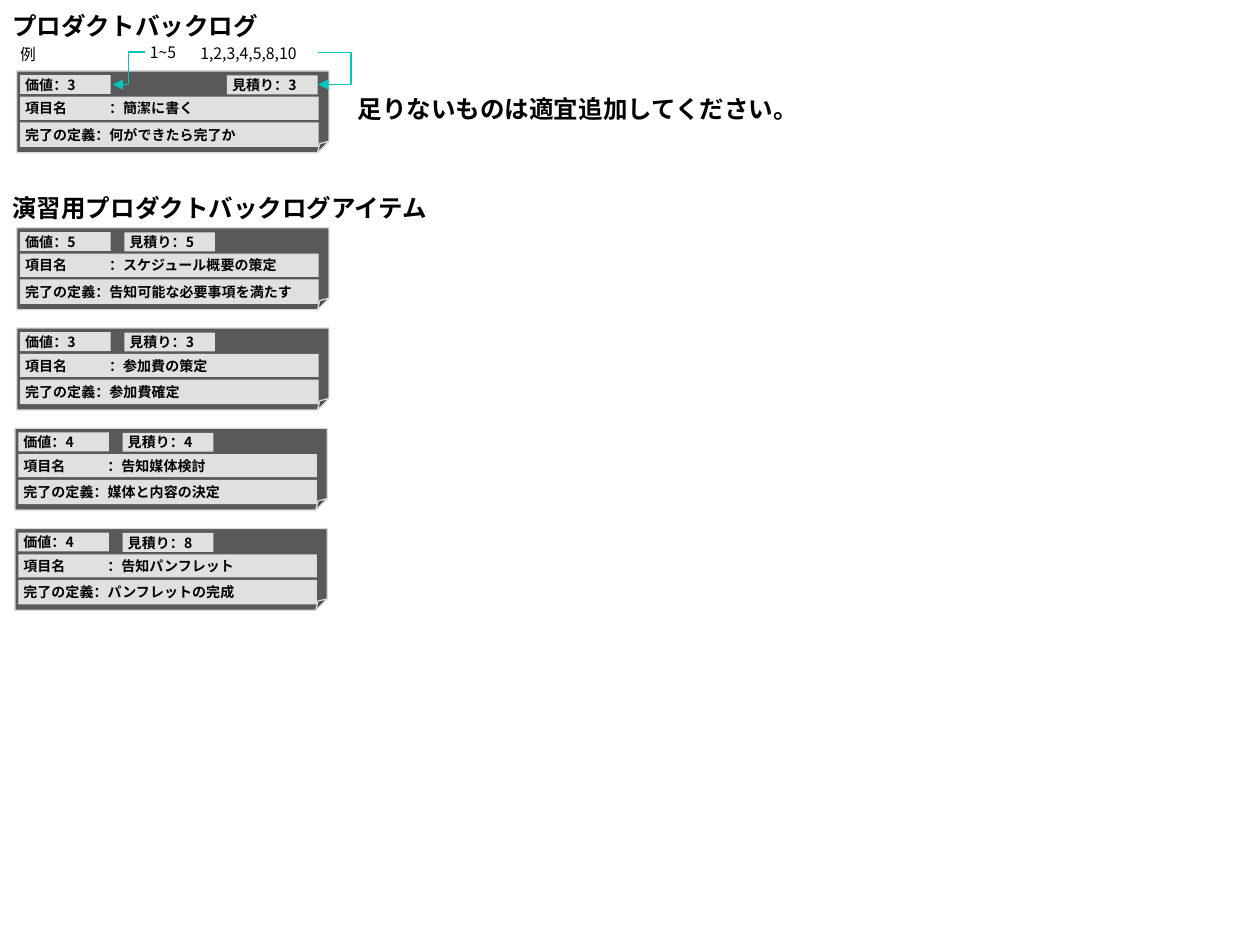
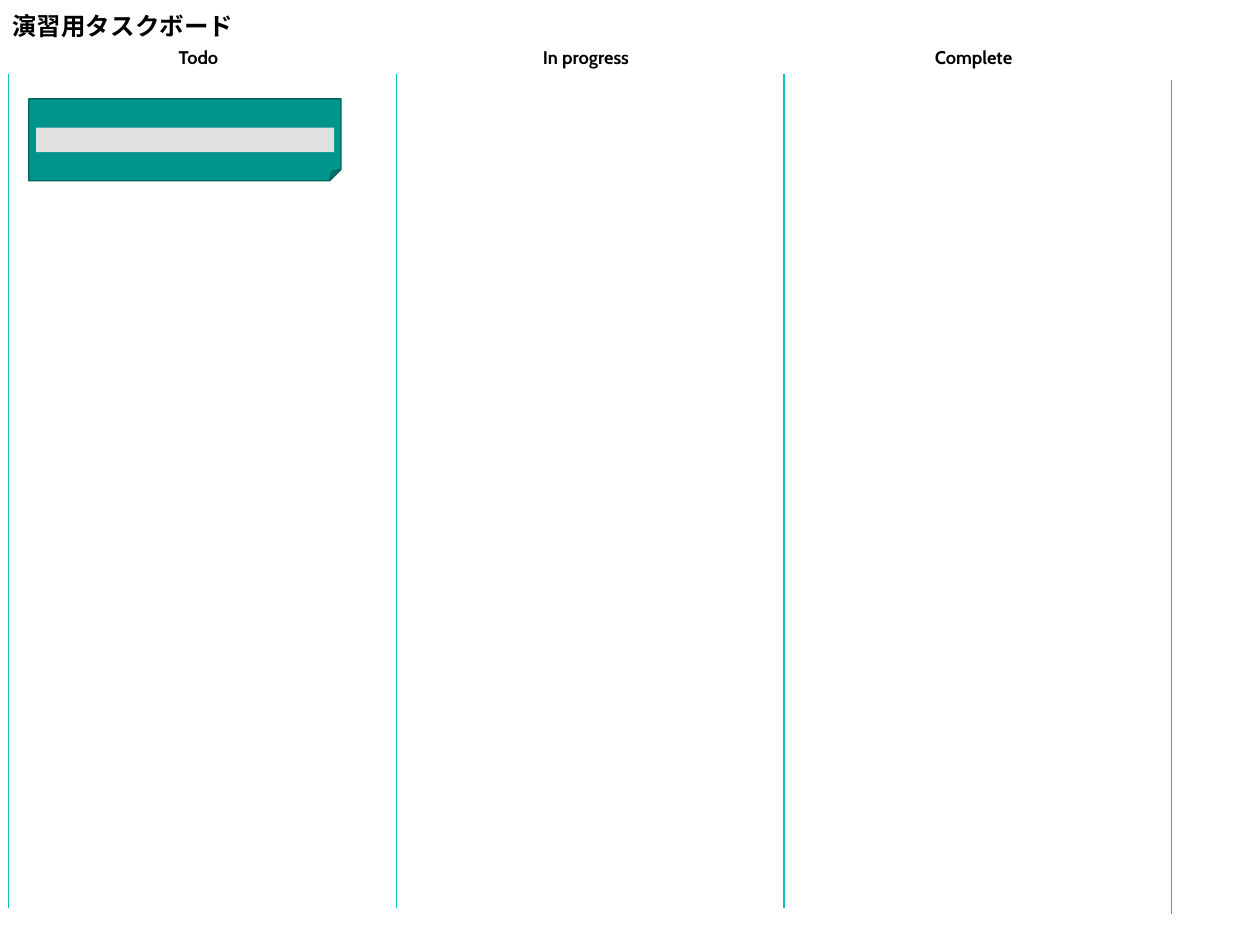
from dataclasses import dataclass

from lxml.etree import SubElement
from pptx import Presentation
from pptx.dml.color import RGBColor
from pptx.enum.shapes import MSO_CONNECTOR as Link, MSO_SHAPE as Shape
from pptx.enum.text import MSO_ANCHOR as Anchor, MSO_AUTO_SIZE as AutoSize, PP_ALIGN as Align
from pptx.oxml.ns import qn
from pptx.util import Pt


@dataclass(frozen=True)
class Theme:
    text: str = "000000"
    accent: str = "00C6BB"
    field: str = "E0E0E0"
    item_fill: str = "595959"
    item_line: str = "D9D9D9"
    task_fill: str = "00948C"
    task_line: str = "00635D"
    heading_font: str = "Cabin"
    body_font: str = "Noto Sans CJK JP"
    heading_size: float = 14
    column_size: float = 10.5
    note_size: float = 9
    field_size: float = 8
    line_width: float = 0.75


THEME = Theme()
CARD_WIDTH, CARD_HEIGHT = 178.5, 46.8
FOLD = 0.14
FIELD_MARGIN = 2.9
LABEL_TAB = 48

EXAMPLE = ("3", "3", "簡潔に書く", "何ができたら完了か")
ITEMS = [
    ("5", "5", "スケジュール概要の策定", "告知可能な必要事項を満たす"),
    ("3", "3", "参加費の策定", "参加費確定"),
    ("4", "4", "告知媒体検討", "媒体と内容の決定"),
    ("4", "8", "告知パンフレット", "パンフレットの完成"),
]
COLUMNS = ["Todo", "In progress", "Complete"]


def points(*values):
    return [Pt(value) for value in values]


def set_guide(shape, name, share):
    """Set an adjustment that python-pptx does not expose for this shape."""
    guides = shape._element.spPr.find(qn("a:prstGeom")).get_or_add_avLst()
    SubElement(guides, qn("a:gd"), name=name, fmla=f"val {round(share * 100000)}")


def write(frame, text, size, font, bold=False, align=Align.LEFT):
    frame.word_wrap = True
    para = frame.paragraphs[0]
    para.text = text
    para.alignment = align
    for span in para.runs:
        span.font.size = Pt(size)
        span.font.bold = bold
        span.font.name = font
        span.font.color.rgb = RGBColor.from_string(THEME.text)
        SubElement(span.font._element, qn("a:ea"), typeface=THEME.body_font)


def set_margins(frame):
    frame.margin_left = frame.margin_right = Pt(FIELD_MARGIN)
    frame.margin_top = frame.margin_bottom = Pt(FIELD_MARGIN)


def add_label(page, box, text, size, align=Align.LEFT):
    label = page.shapes.add_textbox(*points(*box))
    write(label.text_frame, text, size, THEME.heading_font, True, align)
    label.text_frame.auto_size = AutoSize.SHAPE_TO_FIT_TEXT


def add_note(page, box, text):
    note = page.shapes.add_textbox(*points(*box))
    set_margins(note.text_frame)
    write(note.text_frame, text, THEME.note_size, THEME.body_font)
    note.text_frame.auto_size = AutoSize.SHAPE_TO_FIT_TEXT


def add_sticky(shapes, left, top, fill, line):
    sticky = shapes.add_shape(Shape.FOLDED_CORNER, *points(left, top, CARD_WIDTH, CARD_HEIGHT))
    set_guide(sticky, "adj", FOLD)
    sticky.shadow.inherit = False
    sticky.fill.solid()
    sticky.fill.fore_color.rgb = RGBColor.from_string(fill)
    sticky.line.color.rgb = RGBColor.from_string(line)
    sticky.line.width = Pt(THEME.line_width)


def add_field(shapes, box, text=""):
    field = shapes.add_shape(Shape.RECTANGLE, *points(*box))
    field.shadow.inherit = False
    field.fill.solid()
    field.fill.fore_color.rgb = RGBColor.from_string(THEME.field)
    field.line.fill.background()
    if text:
        frame = field.text_frame
        set_margins(frame)
        frame.vertical_anchor = Anchor.MIDDLE
        write(frame, text, THEME.field_size, THEME.body_font, True)
    return field


def add_item_card(page, left, top, item, estimate_left=61.6):
    value, estimate, name, done = item
    shapes = page.shapes.add_group_shape().shapes
    add_sticky(shapes, left, top, THEME.item_fill, THEME.item_line)
    add_field(shapes, (left + 2, top + 2.4, 51.8, 10.8), f"価値：{value}")
    name_field = add_field(shapes, (left + 2, top + 14.8, 170.6, 13.2), f"項目名\t：{name}")
    add_field(shapes, (left + 2, top + 29.5, 170.6, 14), f"完了の定義：{done}")
    add_field(shapes, (left + estimate_left, top + 2.6, 51.8, 10.8), f"見積り：{estimate}")

    tabs = SubElement(name_field.text_frame.paragraphs[0]._p.get_or_add_pPr(), qn("a:tabLst"))
    SubElement(tabs, qn("a:tab"), pos=str(Pt(LABEL_TAB)), algn="l")


def add_line(page, kind, start, end):
    line = page.shapes.add_connector(kind, *points(*start, *end))
    line.line.color.rgb = RGBColor.from_string(THEME.accent)
    line.line.width = Pt(THEME.line_width)
    SubElement(line._element.spPr, qn("a:effectLst"))
    return line


def add_bent_arrow(page, start, end, bend=0.5):
    """Bend is the turning point, as a share of the arrow's width."""
    arrow = add_line(page, Link.ELBOW, start, end)
    SubElement(arrow.line._get_or_add_ln(), qn("a:tailEnd"), type="triangle")
    set_guide(arrow, "adj1", bend)


def build_example(page, left, top):
    add_label(page, (left, top, 181.5, 24.5), "プロダクトバックログ", THEME.heading_size)
    add_note(page, (left + 8.6, top + 20, 70, 16.5), "例")
    add_note(page, (left + 82.8, top + 19, 29, 16.5), "1~5")
    add_note(page, (left + 111.6, top + 19.3, 70, 16.5), "1,2,3,4,5,8,10")
    add_item_card(page, left + 9.5, top + 37.7, EXAMPLE, estimate_left=120.2)
    add_bent_arrow(page, (left + 82.8, top + 27), (left + 64.5, top + 45.5))
    add_bent_arrow(page, (left + 181.5, top + 27.4), (left + 181.75, top + 45.5), bend=75)
    add_label(page, (left + 197.3, top + 47.5, 267.5, 24.5),
              "足りないものは適宜追加してください。", THEME.heading_size)


def build_exercise_items(page, left, top):
    add_label(page, (left, top, 268.5, 24.5),
              "演習用プロダクトバックログアイテム", THEME.heading_size)
    for index, item in enumerate(ITEMS):
        indent = 9.5 if index < 2 else 8.5
        add_item_card(page, left + indent, top + 23.6 + index * 57.25, item)


def build_task_board(page, left, top, column_width, height):
    add_label(page, (0, 2.8, 354, 24.5), "演習用タスクボード", THEME.heading_size)
    for index in range(len(COLUMNS) + 1):
        x = left + index * column_width
        line_top = top + (3.4 if index == len(COLUMNS) else 0)
        add_line(page, Link.STRAIGHT, (x, line_top), (x, line_top + height))
    for index, name in enumerate(COLUMNS):
        x = left + index * column_width + 26.7
        add_label(page, (x, top - 19.3, 163.4, 20.5), name, THEME.column_size, Align.CENTER)
    add_sticky(page.shapes, left + 11.4, top + 14.2, THEME.task_fill, THEME.task_line)
    add_field(page.shapes, (left + 15.6, top + 30.7, 170.4, 14))


def main():
    deck = Presentation()
    deck.slide_width, deck.slide_height = points(720, 540)
    blank = deck.slide_layouts[6]

    backlog = deck.slides.add_slide(blank)
    build_example(backlog, 0, 2.8)
    build_exercise_items(backlog, 0, 106.6)

    board = deck.slides.add_slide(blank)
    build_task_board(board, 5, 42.3, 221.5, 476.4)

    deck.save("out.pptx")


if __name__ == "__main__":
    main()
